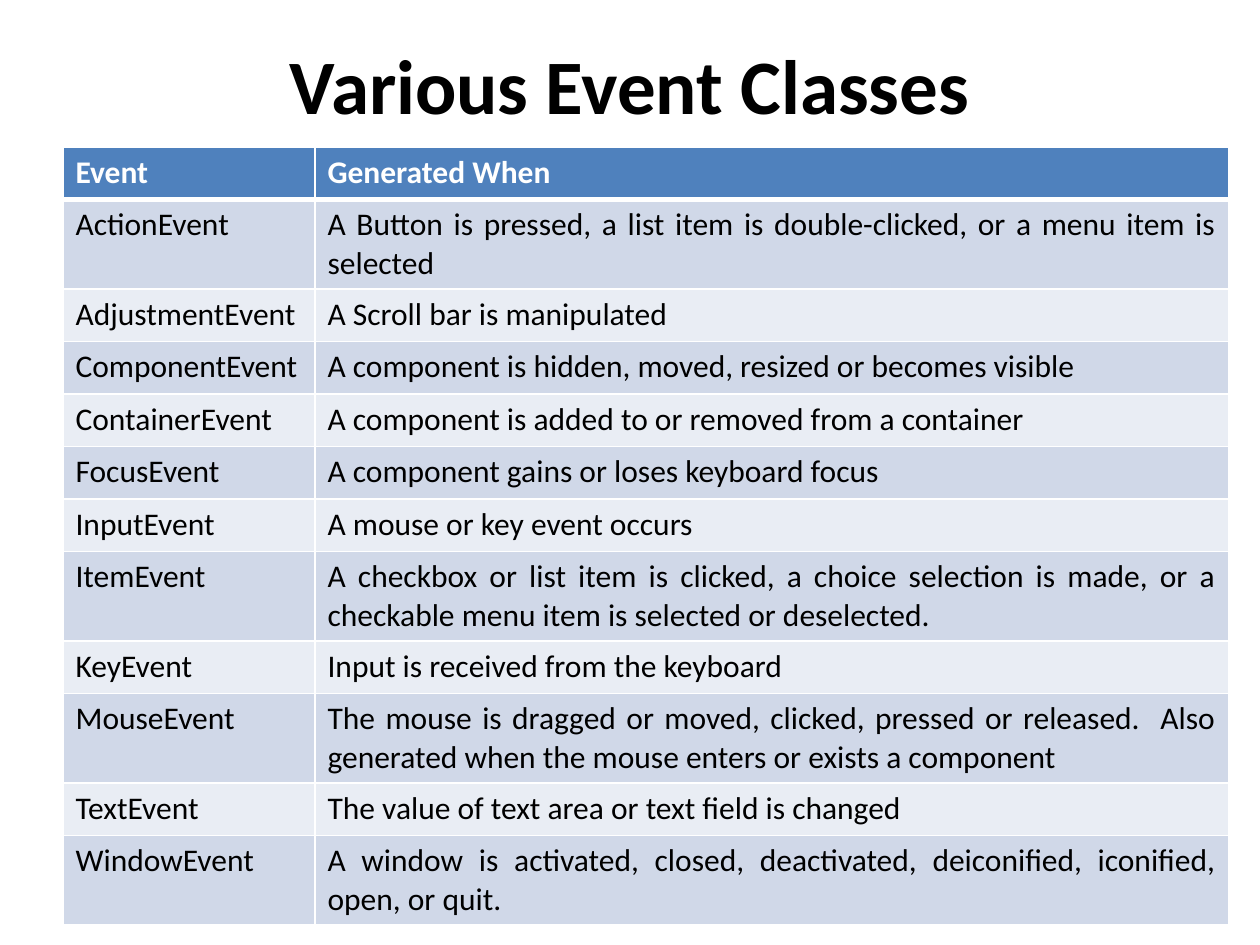
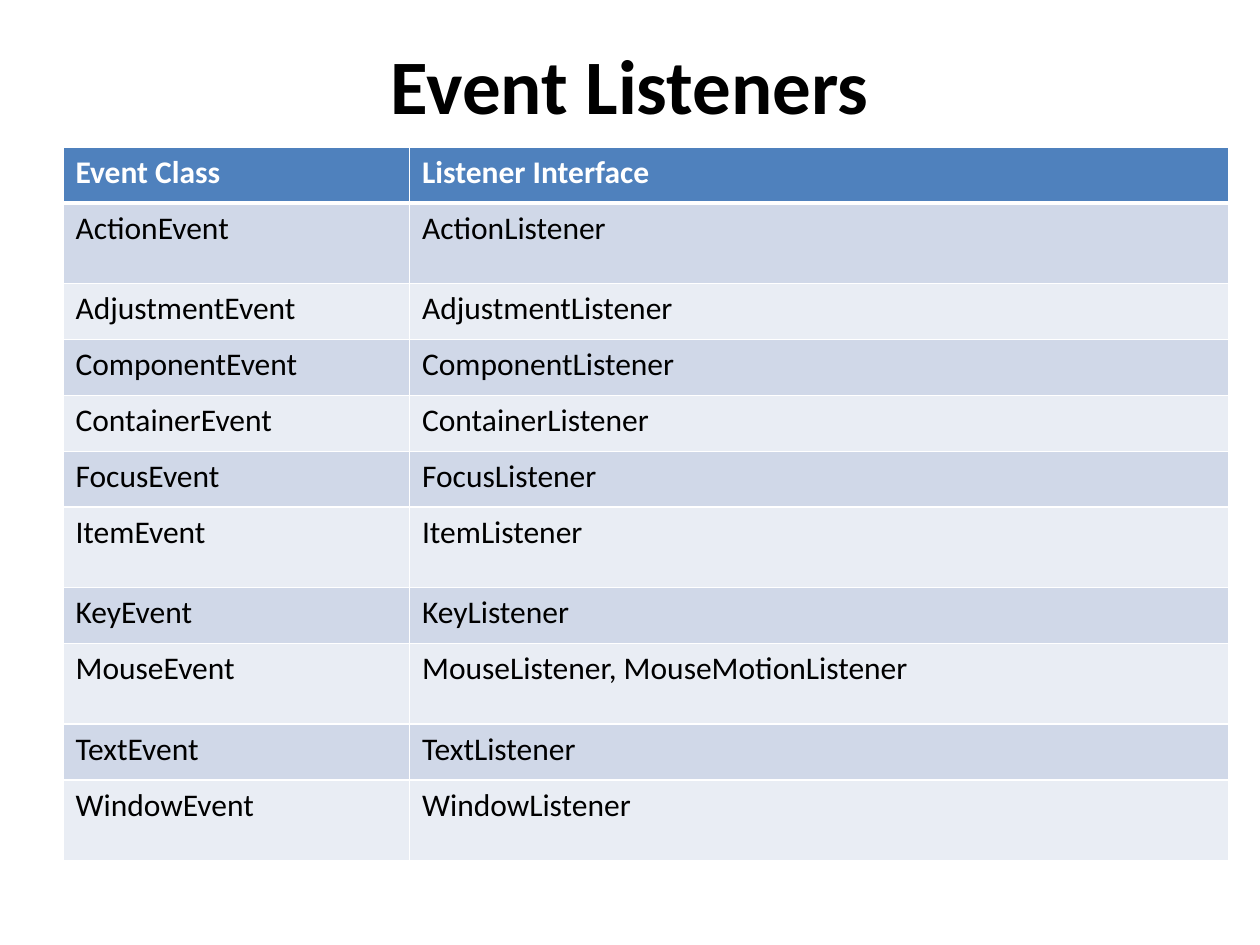
"""Build two slides with tables of event classes and their listeners."""
from lxml import etree
from pptx import Presentation
from pptx.dml.color import RGBColor
from pptx.enum.text import MSO_ANCHOR, PP_ALIGN
from pptx.oxml.ns import qn
from pptx.util import Pt

CENTER, JUSTIFY = PP_ALIGN.CENTER, PP_ALIGN.JUSTIFY
MIDDLE = MSO_ANCHOR.MIDDLE
FONT = "Calibri"
COLORS = {
    "text": "000000",
    "header_text": "FFFFFF",
    "border": "FFFFFF",
    "header": "4F81BD",
    "band_dark": "D0D8E8",
    "band_light": "E9EDF4",
}
SLIDE_W, SLIDE_H = 720, 540
TABLE_LEFT, TABLE_TOP, TABLE_W = 36, 84, 666
TALL_ROWS = {"ActionEvent", "ItemEvent", "MouseEvent", "WindowEvent"}

EVENT_CLASSES = [
    ("Event", "Generated When"),
    ("ActionEvent", "A Button is pressed, a list item is double-clicked, "
                    "or a menu item is selected"),
    ("AdjustmentEvent", "A Scroll bar is manipulated"),
    ("ComponentEvent", "A component is hidden, moved, resized or becomes visible"),
    ("ContainerEvent", "A component is added to or removed from a container"),
    ("FocusEvent", "A component gains or loses keyboard focus"),
    ("InputEvent", "A mouse or key event occurs"),
    ("ItemEvent", "A checkbox or list item is clicked, a choice selection is made, "
                  "or a checkable menu item is selected or deselected."),
    ("KeyEvent", "Input is received from the keyboard"),
    ("MouseEvent", "The mouse is dragged or moved, clicked, pressed or released.  "
                   "Also generated when the mouse enters or exists a component"),
    ("TextEvent", "The value of text area or text field is changed"),
    ("WindowEvent", "A window is activated, closed, deactivated, deiconified, "
                    "iconified, open, or quit."),
]
EVENT_LISTENERS = [
    ("Event Class", "Listener Interface"),
    ("ActionEvent", "ActionListener"),
    ("AdjustmentEvent", "AdjustmentListener"),
    ("ComponentEvent", "ComponentListener"),
    ("ContainerEvent", "ContainerListener"),
    ("FocusEvent", "FocusListener"),
    ("ItemEvent", "ItemListener"),
    ("KeyEvent", "KeyListener"),
    ("MouseEvent", "MouseListener, MouseMotionListener"),
    ("TextEvent", "TextListener"),
    ("WindowEvent", "WindowListener"),
]


def write_text(tf, text, size, color, bold, align):
    """Fill a text frame with one formatted paragraph."""
    tf.text = text
    p = tf.paragraphs[0]
    p.alignment = align
    p.font.name = FONT
    p.font.size = Pt(size)
    p.font.bold = bold
    p.font.color.rgb = RGBColor.from_string(COLORS[color])


def add_title_slide(prs, title):
    """Add a slide with a bold centred title across its full width."""
    s = prs.slides.add_slide(prs.slide_layouts[5])
    sp = s.shapes.title
    sp.left, sp.top, sp.width, sp.height = Pt(0), Pt(12), Pt(SLIDE_W), Pt(72)
    sp.text_frame.vertical_anchor = MIDDLE
    write_text(sp.text_frame, title, 44, "text", True, CENTER)
    return s


def set_borders(cell, top, bottom):
    """Draw the four cell borders, with the given top and bottom widths."""
    tc_pr = cell._tc.get_or_add_tcPr()
    for side, width in (("L", 1), ("R", 1), ("T", top), ("B", bottom)):
        ln = etree.SubElement(tc_pr, qn(f"a:ln{side}"), w=str(Pt(width)))
        fill = etree.SubElement(ln, qn("a:solidFill"))
        etree.SubElement(fill, qn("a:srgbClr"), val=COLORS["border"])


def format_cell(cell, text, row):
    """Style one cell by its row: header, dark band or light band."""
    header = row == 0
    set_borders(cell, 3 if row == 1 else 1, 3 if header else 1)
    band = "header" if header else "band_dark" if row % 2 else "band_light"
    cell.fill.solid()
    cell.fill.fore_color.rgb = RGBColor.from_string(COLORS[band])
    color = "header_text" if header else "text"
    write_text(cell.text_frame, text, 18, color, header, JUSTIFY)


def add_event_table(s, rows, first_width, row_height, tall_height):
    """Add a two-column banded table."""
    heights = [tall_height if name in TALL_ROWS else row_height for name, _ in rows]
    table = s.shapes.add_table(len(rows), 2, Pt(TABLE_LEFT), Pt(TABLE_TOP),
                               Pt(TABLE_W), Pt(sum(heights))).table
    table.columns[0].width = Pt(first_width)
    table.columns[1].width = Pt(TABLE_W - first_width)
    for i, (texts, height) in enumerate(zip(rows, heights)):
        table.rows[i].height = Pt(height)
        for j, text in enumerate(texts):
            format_cell(table.cell(i, j), text, i)


def main():
    """Build and save the presentation."""
    prs = Presentation()
    prs.slide_width, prs.slide_height = Pt(SLIDE_W), Pt(SLIDE_H)
    s = add_title_slide(prs, "Various Event Classes")
    add_event_table(s, EVENT_CLASSES, 144, 30, 43)
    s = add_title_slide(prs, "Event Listeners")
    add_event_table(s, EVENT_LISTENERS, 198, 32, 46)
    prs.save("out.pptx")


if __name__ == "__main__":
    main()
